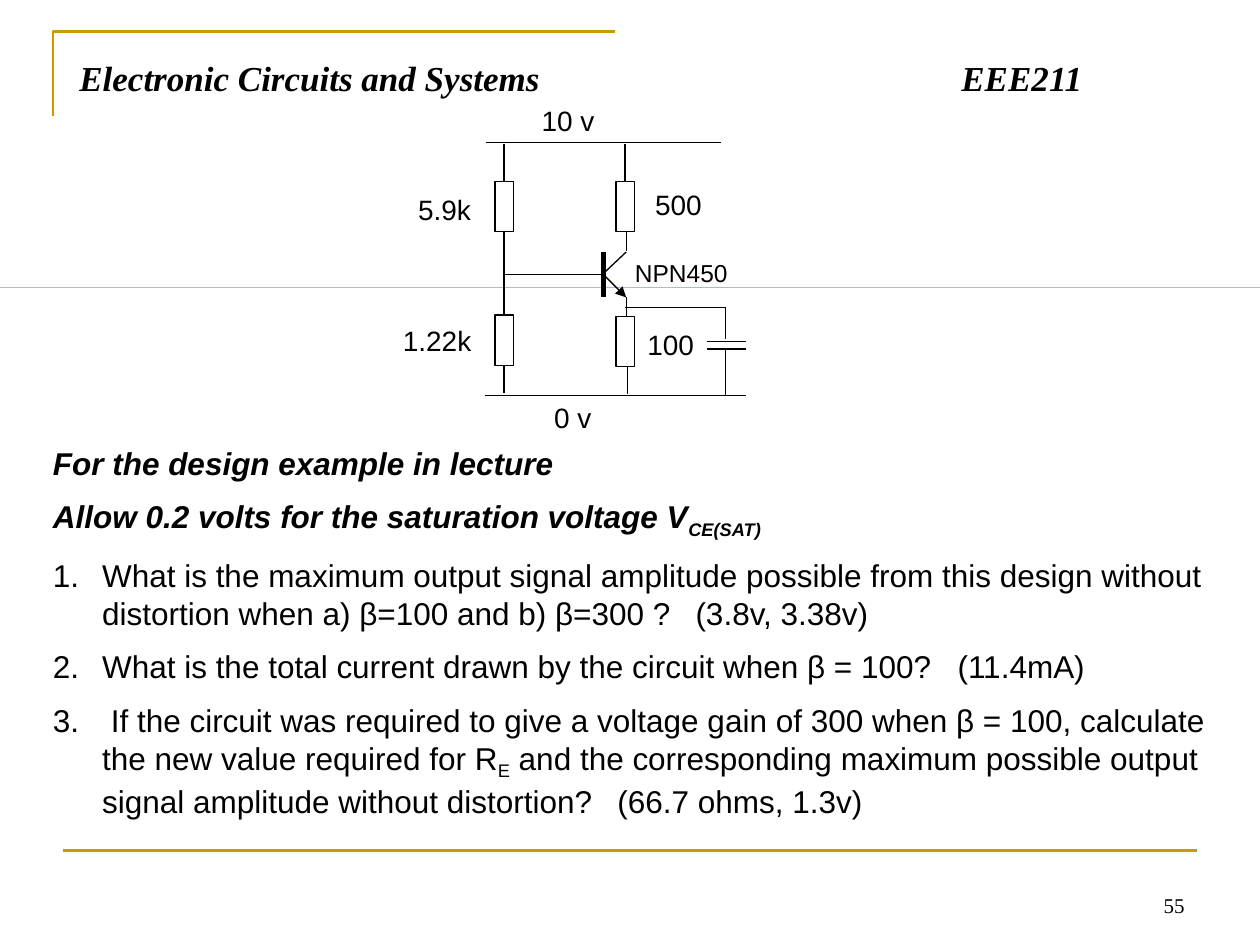
"""Build the transistor amplifier exercise slide on a grid of 100 columns by 75 rows."""
from lxml.etree import SubElement
from pptx import Presentation
from pptx.dml.color import RGBColor
from pptx.enum.shapes import MSO_CONNECTOR, MSO_SHAPE
from pptx.enum.text import MSO_ANCHOR, MSO_AUTO_SIZE, PP_ALIGN
from pptx.oxml.ns import qn
from pptx.util import Inches, Pt

COLORS = {"ink": "000000", "paper": "FFFFFF", "gold": "CC9900", "blue": "0033CC"}
INK, PAPER, GOLD, BLUE = (RGBColor.from_string(value) for value in COLORS.values())

prs = Presentation()
prs.slide_width, prs.slide_height = Inches(10), Inches(7.5)
cell = prs.slide_width // 100
slide = prs.slides.add_slide(prs.slide_layouts[1])


def write(paragraph, text, size=18, font="Arial", bold=False, italic=False, baseline=0):
    run = paragraph.add_run()
    run.text = text
    run.font.size, run.font.name = Pt(size), font
    run.font.bold, run.font.italic = bold, italic
    run.font.color.rgb = INK
    if baseline:
        run.font._element.set("baseline", str(baseline * 1000))


def wire(shapes, ends, color=INK, width=0.75, arrow=False):
    line = shapes.add_connector(MSO_CONNECTOR.STRAIGHT, *(round(end * cell) for end in ends))
    line.line.color.rgb, line.line.width = color, Pt(width)
    if arrow:
        SubElement(line.line._get_or_add_ln(), qn("a:tailEnd"), type="triangle")
    SubElement(line._element.spPr, qn("a:effectLst"))


# fmt: off
corner_path = [(round(x * cell), round(y * cell)) for x, y in [(4.2, 9.2), (4.2, 2.5), (48.8, 2.5)]]
# fmt: on
builder = slide.shapes.build_freeform(*corner_path[0])
builder.add_line_segments(corner_path[1:], close=False)
corner = builder.convert_to_shape()
corner.shadow.inherit = False
corner.fill.background()
corner.line.color.rgb, corner.line.width = GOLD, Pt(1.5)
wire(slide.shapes, (5, 67.5, 95, 67.5), color=GOLD, width=1.5)

divider = slide.shapes.add_shape(MSO_SHAPE.RECTANGLE, 0, round(22.8 * cell), prs.slide_width, 0)
divider.shadow.inherit = False
divider.fill.solid()
divider.fill.fore_color.rgb = BLUE
divider.line.fill.background()

circuit = slide.shapes.add_group_shape().shapes
wire(circuit, (48, 21.9, 49.7, 23.6), arrow=True)
wire(circuit, (47.9, 20, 47.9, 23.6), width=3)
for ends in [
    (47.9, 21.7, 49.7, 20), (49.7, 19.9, 49.7, 18.4), (49.7, 25.1, 49.7, 23.6),
    (47.8, 21.8, 40, 21.8), (49.6, 14.4, 49.6, 11.4), (57.2, 11.3, 38.6, 11.3),
    (49.8, 29, 49.8, 31.3), (40, 11.4, 40, 31.2), (59.2, 31.4, 38.5, 31.4),
    (57.6, 31.4, 57.6, 27.7), (56.1, 27.7, 59.2, 27.7), (56.1, 27.1, 59.2, 27.1),
    (57.6, 26.9, 57.6, 24.4), (57.6, 24.4, 49.6, 24.4),
]:
    wire(circuit, ends)

for left, top in [(39.3, 14.4), (39.3, 25), (48.9, 14.4), (48.9, 25.1)]:
    resistor = circuit.add_shape(
        MSO_SHAPE.RECTANGLE, *(round(n * cell) for n in (left, top, 1.45, 4)))
    resistor.shadow.inherit = False
    resistor.fill.solid()
    resistor.fill.fore_color.rgb = PAPER
    resistor.line.color.rgb, resistor.line.width = INK, Pt(0.75)

for text, left, top, width, size in [
    ("NPN450", 49.4, 20, 10.6, 14), ("500", 51, 14.4, 5.9, 16), ("10 v", 42, 7.7, 7.2, 16),
    ("0 v", 43, 31.3, 5.8, 16), ("5.9k", 32.2, 14.8, 7.3, 16),
    ("1.22k", 31, 25.2, 7.4, 16), ("100", 50.4, 25.5, 6, 16),
]:
    label = circuit.add_textbox(*(round(n * cell) for n in (left, top, width, 3.7))).text_frame
    label.word_wrap = True
    write(label.paragraphs[0], text, size=size)

heading, questions = slide.placeholders
page_number = slide.shapes.add_textbox(0, 0, 0, 0)
for holder, bounds, anchor in [
    (heading, (5.3, 4, 89.2, 6.1), MSO_ANCHOR.TOP),
    (questions, (3.2, 34.7, 94, 31.3), MSO_ANCHOR.TOP),
    (page_number, (71.7, 68.3, 23.3, 5), MSO_ANCHOR.BOTTOM),
]:
    holder.left, holder.top, holder.width, holder.height = (round(n * cell) for n in bounds)
    holder.text_frame.word_wrap = True
    holder.text_frame.auto_size = MSO_AUTO_SIZE.NONE
    holder.text_frame.vertical_anchor = anchor

course = heading.text_frame.paragraphs[0]
stops = SubElement(course._p.get_or_add_pPr(), qn("a:tabLst"))
SubElement(stops, qn("a:tab"), pos=str(70 * cell), algn="l")
course.alignment = PP_ALIGN.LEFT
write(course, "Electronic Circuits and Systems\tEEE211",
      size=20, font="Times New Roman", bold=True, italic=True)

page = page_number.text_frame.paragraphs[0]
page.alignment = PP_ALIGN.RIGHT
write(page, "55", size=12, font="Times New Roman")

for index, (answer_column, parts) in enumerate([
    (None, ["For the design example in lecture"]),
    (None, ["Allow 0.2 volts for the saturation voltage V", "CE(SAT)"]),
    (51, ["What is the maximum output signal amplitude possible from this design without "
          "distortion when a) β=100 and b) β=300 ?\t(3.8v, 3.38v)"]),
    (71.8, ["What is the total current drawn by the circuit when β = 100?\t(11.4mA)"]),
    (44.8, [" If the circuit was required to give a voltage gain of 300 when β = 100, calculate "
            "the new value required for R", "E",
            " and the corresponding maximum possible output signal amplitude without "
            "distortion?\t(66.7 ohms, 1.3v)"]),
]):
    frame = questions.text_frame
    paragraph = frame.add_paragraph() if index else frame.paragraphs[0]
    layout = paragraph._p.get_or_add_pPr()
    layout.set("marL", str(round(3.9 * cell)))
    layout.set("indent", str(round(-3.9 * cell)))
    if answer_column:
        SubElement(layout, qn("a:buFont"), typeface="Arial")
        SubElement(layout, qn("a:buAutoNum"), type="arabicPeriod")
        stops = SubElement(layout, qn("a:tabLst"))
        SubElement(stops, qn("a:tab"), pos=str(round(answer_column * cell)), algn="l")
    else:
        SubElement(layout, qn("a:buNone"))
    paragraph.space_before = Pt(9 if index else 0)
    for position, part in enumerate(parts):
        write(paragraph, part, bold=not answer_column, italic=not answer_column,
              baseline=-25 if position == 1 else 0)

prs.save("out.pptx")
